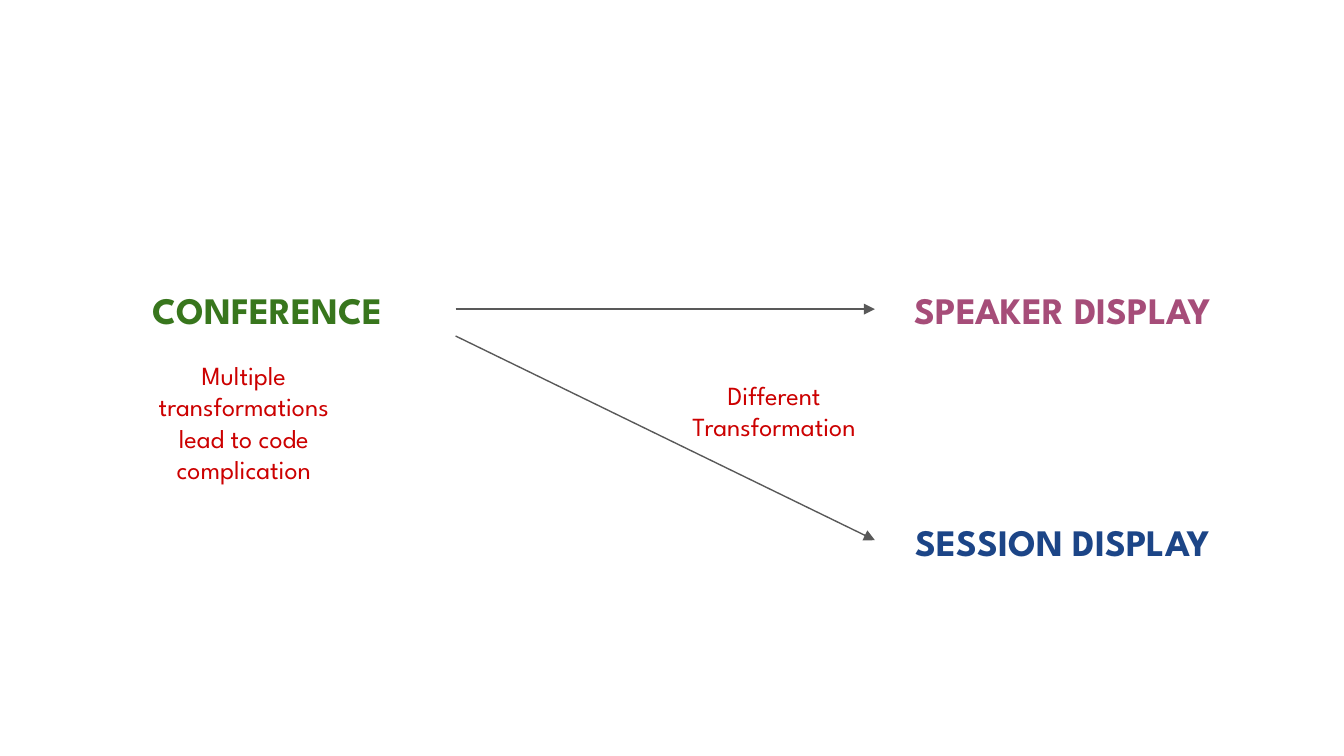
from pptx import Presentation
from pptx.dml.color import RGBColor
from pptx.enum.shapes import MSO_CONNECTOR
from pptx.enum.text import MSO_ANCHOR, PP_ALIGN
from pptx.oxml.ns import qn
from pptx.util import Inches, Pt
from lxml import etree

LINE = MSO_CONNECTOR.STRAIGHT
MIDDLE = MSO_ANCHOR.MIDDLE
CENTER = PP_ALIGN.CENTER

WIDE = 10
HIGH = WIDE * 9 / 16
FONT = "League Spartan"
PAD = 0.1
COLORS = {
    "source": "38761D",
    "speaker": "A64D79",
    "session": "1C4587",
    "note": "CC0000",
    "arrow": "595959",
}

NODE_W, NODE_H = 2.8, 1.02
LEFT, RIGHT = 0.59, 6.51
TOP, LOW = 1.79, 3.52
START = LEFT + NODE_W
MID = TOP + NODE_H / 2


def add_text(slide, text, box, color, size, bold=False, foot=PAD):
    shape = slide.shapes.add_textbox(*map(Inches, box))
    frame = shape.text_frame
    frame.word_wrap = True
    frame.vertical_anchor = MIDDLE
    frame.margin_left = frame.margin_right = frame.margin_top = Inches(PAD)
    frame.margin_bottom = Inches(foot)
    frame.text = text
    line = frame.paragraphs[0]
    line.alignment = CENTER
    font = line.runs[0].font
    font.name = FONT
    font.size = Pt(size)
    font.bold = bold
    font.color.rgb = RGBColor.from_string(COLORS[color])


def add_node(slide, text, left, top, color):
    add_text(slide, text, (left, top, NODE_W, NODE_H), color, 20, bold=True)


def add_note(slide, text, box, foot=PAD):
    add_text(slide, text, box, "note", 14, foot=foot)


def add_arrow(slide, start, end):
    arrow = slide.shapes.add_connector(LINE, *map(Inches, start + end))
    arrow.line.width = Pt(0.75)
    arrow.line.color.rgb = RGBColor.from_string(COLORS["arrow"])
    tip = etree.SubElement(arrow.line._get_or_add_ln(), qn("a:tailEnd"))
    tip.set("type", "triangle")
    etree.SubElement(arrow._element.spPr, qn("a:effectLst"))


def main():
    deck = Presentation()
    deck.slide_width, deck.slide_height = Inches(WIDE), Inches(HIGH)
    slide = deck.slides.add_slide(deck.slide_layouts[6])

    add_node(slide, "CONFERENCE", LEFT, TOP, "source")
    add_node(slide, "SPEAKER DISPLAY", RIGHT, TOP, "speaker")
    add_arrow(slide, (START, MID), (RIGHT, MID))
    add_arrow(slide, (START, MID + 0.2), (RIGHT, LOW + 0.5))
    add_node(slide, "SESSION DISPLAY", RIGHT, LOW, "session")
    add_note(slide, "Different Transformation", (4.77, 2.91, 1.98, 0.29))
    add_note(
        slide,
        "Multiple transformations lead to code complication",
        (0.95, 2.86, 1.73, 0.79),
        foot=0.33,
    )

    deck.save("out.pptx")


if __name__ == "__main__":
    main()
